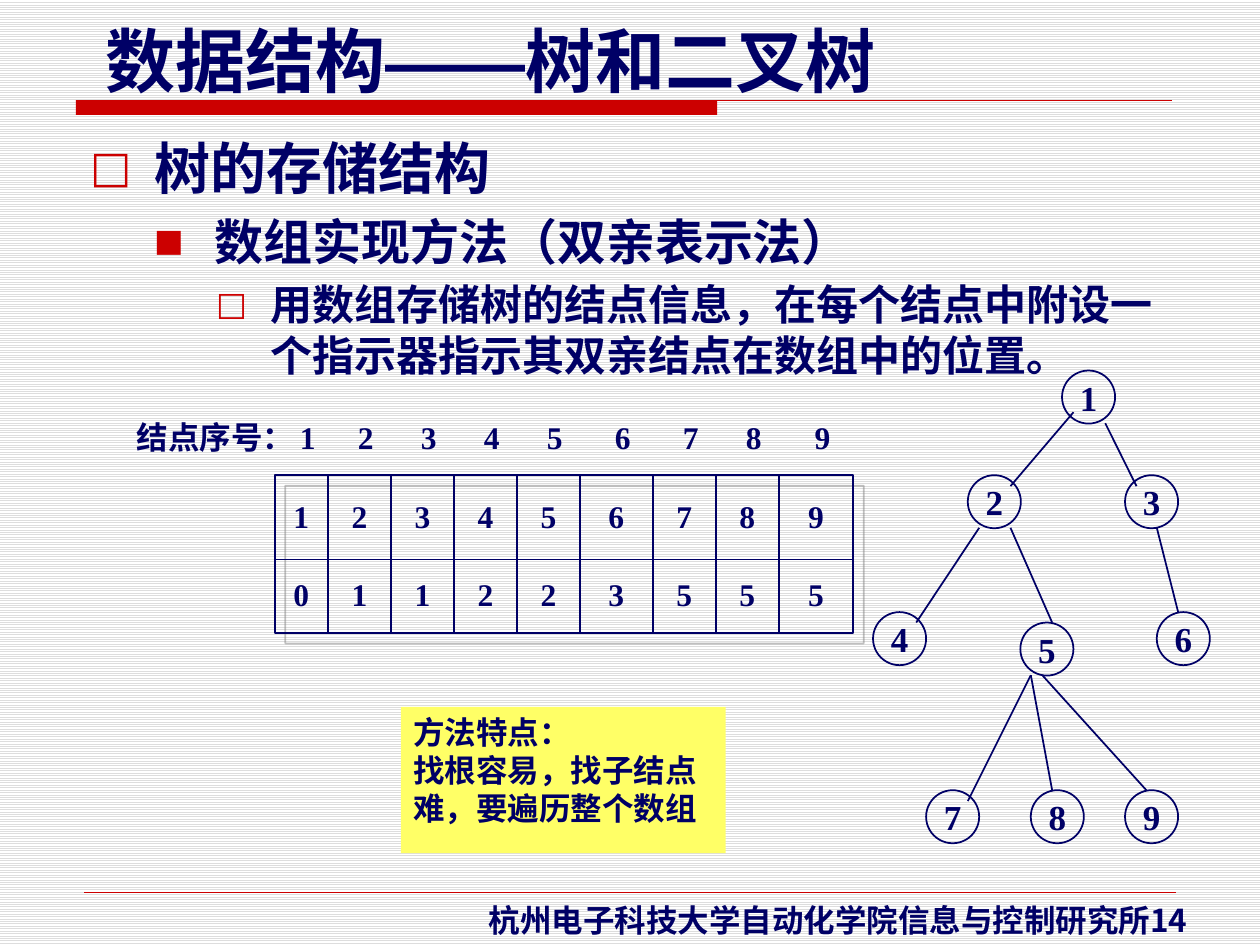
from dataclasses import dataclass
from itertools import accumulate

from lxml import etree
from pptx import Presentation, util as u
from pptx.dml import color
from pptx.enum import dml, shapes, text
from pptx.oxml import ns


@dataclass(frozen=True)
class Theme:
    ink: str = "000066"
    red: str = "CC0000"
    note: str = "FFFF66"
    shade: str = "808080"
    rule: str = "DDDDDD"
    paper: str = "FFFFFF"
    serif: str = "Times New Roman"
    sans: str = "DejaVu Sans"
    cjk: str = "Noto Sans CJK SC"
    dash: str = "Arial"
    title: int = 40
    levels: tuple = (32, 28, 24)
    node: int = 20
    small: int = 18


THEME = Theme()
CENTER = text.PP_ALIGN.CENTER
MIDDLE = text.MSO_ANCHOR.MIDDLE


def rgb(code):
    return color.RGBColor.from_string(code)


def sub(parent, tag, **attrs):
    """Append one drawing element."""
    item = etree.SubElement(parent, ns.qn(tag))
    for key, val in attrs.items():
        item.set(key, str(val))
    return item


def put(par, words, size=THEME.small, face=THEME.serif, east=THEME.sans,
        align=None):
    """Add a bold run to a paragraph."""
    run = par.add_run()
    run.text = words
    font = run.font
    font.size, font.name, font.bold = u.Pt(size), face, True
    font.color.rgb = rgb(THEME.ink)
    sub(run.font._element, "a:ea", typeface=east)
    if align is not None:
        par.alignment = align
    return run


class Page:
    def __init__(self, deck, theme):
        self.theme = theme
        self.slide = deck.slides.add_slide(deck.slide_layouts[5])
        self.items = self.slide.shapes
        fill = self.slide.background.fill
        fill.patterned()
        fill.pattern = dml.MSO_PATTERN.LIGHT_HORIZONTAL
        fill.fore_color.rgb = rgb(theme.rule)
        fill.back_color.rgb = rgb(theme.paper)

    def title(self, box, runs):
        item = self.items.title
        item.left, item.top, item.width, item.height = map(u.Cm, box)
        frame = item.text_frame
        frame.word_wrap = False
        frame.auto_size = text.MSO_AUTO_SIZE.NONE
        frame.vertical_anchor = text.MSO_ANCHOR.TOP
        for words, face in runs:
            put(frame.paragraphs[0], words, size=self.theme.title, face=face,
                east=face, align=text.PP_ALIGN.LEFT)

    def text(self, box, wrap=True):
        frame = self.items.add_textbox(*map(u.Cm, box)).text_frame
        frame.word_wrap = wrap
        return frame

    def shape(self, kind, box, fill=None, line=None):
        item = self.items.add_shape(kind, *map(u.Cm, box))
        item.shadow.inherit = False
        if fill:
            item.fill.solid()
            item.fill.fore_color.rgb = rgb(fill)
        else:
            item.fill.background()
        if line:
            item.line.color.rgb = rgb(line)
            item.line.width = u.Pt(1)
        else:
            item.line.fill.background()
        return item

    def line(self, ends, tint, width=1):
        item = self.items.add_connector(
            shapes.MSO_CONNECTOR.STRAIGHT, *map(u.Cm, ends))
        item.line.color.rgb = rgb(tint)
        item.line.width = u.Pt(width)
        sub(item._element.spPr, "a:effectLst")

    def node(self, label, left, top):
        item = self.shape(shapes.MSO_SHAPE.OVAL, (left, top, 1.07, 1.07),
                          line=self.theme.ink)
        frame = item.text_frame
        frame.word_wrap = False
        frame.vertical_anchor = MIDDLE
        put(frame.paragraphs[0], label, size=self.theme.node, align=CENTER)

    def bullet(self, par, words, level, mark, scale, left, hang, face):
        props = par._p.get_or_add_pPr()
        props.set("marL", str(u.Cm(left)))
        props.set("indent", str(u.Cm(-hang)))
        par.level = level
        size = self.theme.levels[level]
        if level:
            par.space_before = u.Pt(round(size * 0.2))
        sub(sub(props, "a:buClr"), "a:srgbClr", val=self.theme.red)
        sub(props, "a:buSzPct", val=scale * 1000)
        sub(props, "a:buFont", typeface=self.theme.sans)
        sub(props, "a:buChar", char=mark)
        put(par, words, size=size, face=face)

    def shadow(self, item):
        glow = sub(item._element.spPr.find(ns.qn("a:effectLst")),
                   "a:outerShdw", dist=u.Pt(8.5), dir=45 * 60000,
                   algn="ctr", rotWithShape=0)
        tint = sub(glow, "a:srgbClr", val=self.theme.shade)
        sub(tint, "a:alpha", val=50000)

    def grid(self, left, top, widths, heights, rows):
        """Draw a shadowed frame and a table with inner borders."""
        box = left, top, sum(widths), sum(heights)
        self.shadow(self.shape(shapes.MSO_SHAPE.RECTANGLE, box,
                               line=self.theme.ink))
        table = self.items.add_table(len(rows), len(widths),
                                     *map(u.Cm, box)).table
        table.first_row = table.horz_banding = False
        for col, width in zip(table.columns, widths):
            col.width = u.Cm(width)
        for r, row in enumerate(rows):
            table.rows[r].height = u.Cm(heights[r])
            for c, val in enumerate(row):
                inner = {"L": c > 0, "R": c < len(row) - 1,
                         "T": r > 0, "B": r < len(rows) - 1}
                self.cell(table.cell(r, c), str(val), inner)

    def cell(self, cell, words, inner):
        cell.margin_left = cell.margin_right = 0
        cell.vertical_anchor = MIDDLE
        put(cell.text_frame.paragraphs[0], words, align=CENTER)
        props = cell._tc.get_or_add_tcPr()
        for side, drawn in inner.items():
            edge = sub(props, f"a:ln{side}", w=u.Pt(1))
            if drawn:
                sub(sub(edge, "a:solidFill"), "a:srgbClr", val=self.theme.ink)
            else:
                sub(edge, "a:noFill")
        cell.fill.background()


def main():
    deck = Presentation()
    deck.slide_width, deck.slide_height = u.Cm(25.4), u.Cm(19.05)
    th = THEME
    page = Page(deck, th)

    # Rules and title
    page.shape(shapes.MSO_SHAPE.RECTANGLE, (1.53, 2.02, 12.93, 0.3),
               fill=th.red)
    page.line((1.53, 2.02, 23.63, 2.02), th.red, 0.75)
    page.line((1.7, 17.98, 23.7, 17.98), th.red, 0.25)
    page.title((1.88, 0.23, 16.08, 1.96),
               [("数据结构", th.sans), ("——", th.dash), ("树和二叉树", th.sans)])

    # Footer
    foot = page.text((9.6, 18.03, 15.52, 1.02), wrap=False).paragraphs[0]
    put(foot, "杭州电子科技大学自动化学院信息与控制研究所")
    put(foot, "14", face=th.cjk, east=th.cjk)

    # Outline
    points = [
        ("树的存储结构", 0, "□", 78, 1.3, 1.3, th.cjk),
        ("数组实现方法（双亲表示法）", 1, "■", 64, 2.51, 1.22, th.serif),
        ("用数组存储树的结点信息，在每个结点中附设一个指示器指示其双亲结点在数组中的位置。",
         2, "□", 78, 3.63, 1.09, th.sans),
    ]
    body = page.text((1.57, 2.57, 22.23, 15.29))
    for i, point in enumerate(points):
        par = body.add_paragraph() if i else body.paragraphs[0]
        page.bullet(par, *point)

    # Tree
    spots = [(21.41, 7.47), (19.51, 9.58), (22.68, 9.58), (17.6, 12.34),
             (20.57, 12.55), (23.32, 12.34), (18.67, 15.93), (20.78, 15.93),
             (22.68, 15.93)]
    for num, spot in enumerate(spots, 1):
        page.node(str(num), *spot)
    edges = [(21.64, 8.31, 20.37, 9.8), (22.28, 8.53, 22.91, 9.8),
             (19.74, 10.64, 18.47, 12.55), (20.37, 10.64, 21.21, 12.55),
             (23.32, 10.64, 23.75, 12.34), (20.78, 13.61, 19.51, 16.15),
             (20.78, 13.61, 21.21, 15.93), (21.01, 13.61, 23.11, 15.93)]
    for edge in edges:
        page.line(edge, th.ink)

    # Parent array
    left, widths = 5.54, [1.07] + [1.27] * 4 + [1.47, 1.27, 1.27, 1.5]
    nums = range(1, 10)
    page.grid(left, 9.58, widths, [1.7, 1.48],
              [nums, [0, 1, 1, 2, 2, 3, 5, 5, 5]])

    # Index row, tabbed to the column centres
    start = 2.51
    par = page.text((start, 8.31, 15.5, 1.02), wrap=False).paragraphs[0]
    tabs = sub(par._p.get_or_add_pPr(), "a:tabLst")
    for end, width in zip(accumulate(widths), widths):
        stop = left + end - width / 2 - start - 0.12
        sub(tabs, "a:tab", pos=u.Cm(stop), algn="ctr")
    put(par, "结点序号：", face=th.sans, align=text.PP_ALIGN.LEFT)
    put(par, "".join(f"\t{num}" for num in nums))

    # Note
    note = page.shape(shapes.MSO_SHAPE.RECTANGLE, (8.08, 14.25, 6.55, 2.95),
                      fill=th.note).text_frame
    note.word_wrap = True
    note.vertical_anchor = text.MSO_ANCHOR.TOP
    put(note.paragraphs[0], "方法特点：", face=th.sans, align=text.PP_ALIGN.LEFT)
    put(note.add_paragraph(), "找根容易，找子结点难，要遍历整个数组",
        face=th.sans, align=text.PP_ALIGN.LEFT)

    deck.save("out.pptx")


if __name__ == "__main__":
    main()
